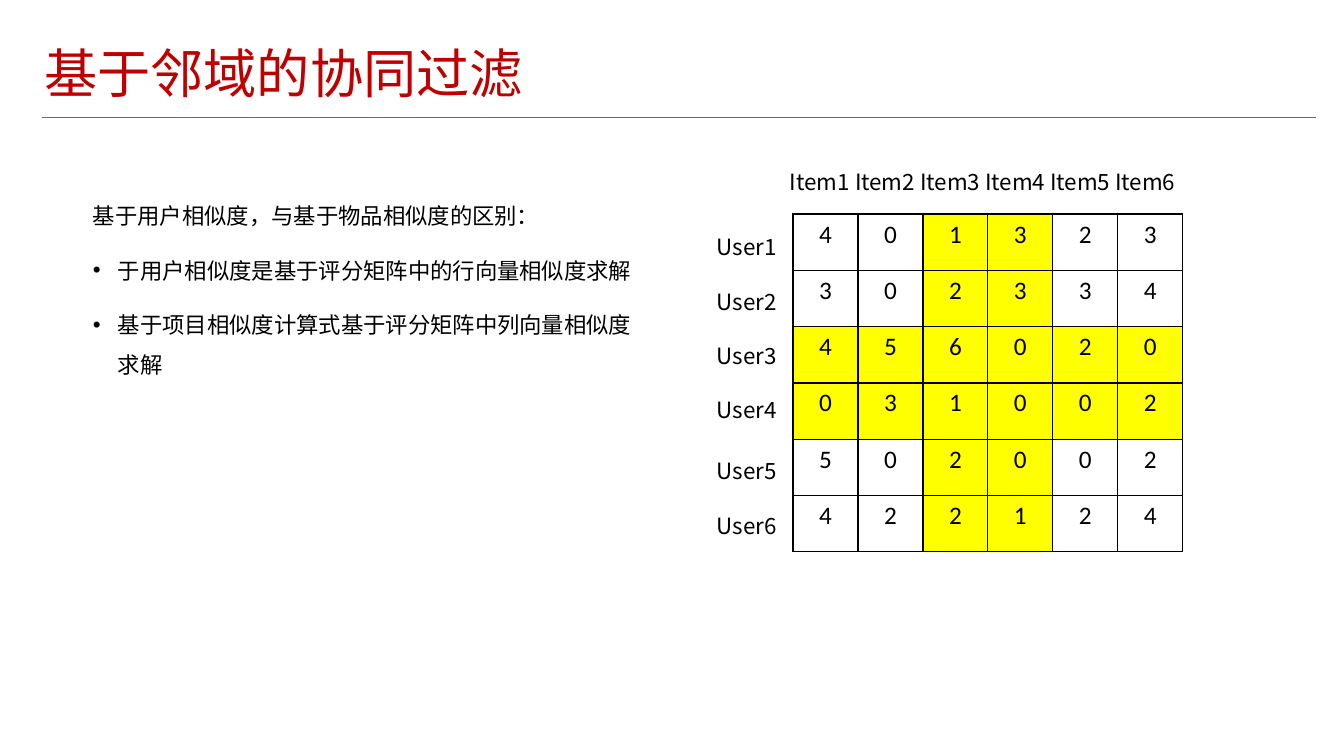
from dataclasses import dataclass

from lxml.etree import SubElement
from pptx import Presentation
from pptx.dml.color import RGBColor as RGB
from pptx.enum.shapes import MSO_CONNECTOR as Link
from pptx.enum.text import MSO_ANCHOR as Anchor, MSO_AUTO_SIZE as Fit, PP_ALIGN as Align
from pptx.oxml import parse_xml
from pptx.oxml.ns import nsdecls, qn
from pptx.util import Emu, Pt

SCALE = 914400 / 100.8


@dataclass(frozen=True)
class Theme:
    red: str = "C00000"
    blue: str = "3F6FC3"
    black: str = "000000"
    white: str = "FFFFFF"
    yellow: str = "FFFF00"
    latin: str = "Calibri"
    han: str = "Noto Sans CJK SC"
    title: int = 38
    body: int = 16
    cell: int = 18


@dataclass(frozen=True)
class Box:
    left: int
    top: int
    width: int
    height: int


@dataclass(frozen=True)
class Para:
    text: str
    font: str = Theme.han
    bullet: bool = False
    after: int = 0


THEME = Theme()
RATINGS = ["401323", "302334", "456020", "031002", "502002", "422124"]
MARKED = (2, 3)
INTRO = [
    Para("基于用户相似度，与基于物品相似度的区别："),
    Para("于用户相似度是基于评分矩阵中的行向量相似度求解", THEME.latin, bullet=True),
    Para("基于项目相似度计算式基于评分矩阵中列向量相似度求解", THEME.latin, bullet=True),
]
ITEMS = [Para(" ".join(f"Item{n}" for n in range(1, 7)))]
USERS = [Para(f"User{n}", after=5 if n == 4 else 0) for n in range(1, 7)]


def px(length: int) -> Emu:
    return Emu(round(length * SCALE))


def place(shape, box: Box) -> None:
    shape.left, shape.top = px(box.left), px(box.top)
    shape.width, shape.height = px(box.width), px(box.height)


def write(para, text: str, *, size: int, font: str = THEME.latin,
          color: str = THEME.black, align=Align.LEFT, lines: float = 1.0,
          before: int = 0, after: int = 0) -> None:
    para.alignment, para.line_spacing = align, lines
    para.space_before, para.space_after = Pt(before), Pt(after)
    run = para.add_run()
    run.text = text
    run.font.size, run.font.name = Pt(size), font
    run.font.color.rgb = RGB.from_string(color)


def set_mark(para, bullet: bool) -> None:
    """Give a paragraph a hanging bullet, or clear the inherited one."""
    props = para._p.get_or_add_pPr()
    hang = px(25) if bullet else 0
    props.set("marL", str(hang))
    props.set("indent", str(-hang))
    if bullet:
        SubElement(props, qn("a:buFont"), typeface="Arial")
        SubElement(props, qn("a:buChar"), char="•")
    else:
        SubElement(props, qn("a:buNone"))


def set_frame(frame, anchor=Anchor.TOP) -> None:
    frame.word_wrap, frame.auto_size = True, Fit.NONE
    frame.vertical_anchor = anchor
    frame.margin_left = frame.margin_right = px(5)
    frame.margin_top = frame.margin_bottom = px(5)


def fill_text(shape, box: Box, paras: list[Para]) -> None:
    place(shape, box)
    frame = shape.text_frame
    set_frame(frame)
    for i, item in enumerate(paras):
        para = frame.add_paragraph() if i else frame.paragraphs[0]
        set_mark(para, item.bullet)
        write(para, item.text, size=THEME.body, font=item.font, lines=1.5,
              align=Align.LEFT if item.bullet else Align.JUSTIFY,
              before=10 if i else 0, after=item.after)


def add_title(slide, text: str) -> None:
    title = slide.shapes.title
    place(title, Box(39, 40, 1122, 72))
    set_frame(title.text_frame, Anchor.MIDDLE)
    write(title.text_frame.paragraphs[0], text, size=THEME.title,
          color=THEME.red, lines=0.9)


def add_rule(slide) -> None:
    rule = slide.shapes.add_connector(
        Link.STRAIGHT, px(42), px(118), px(1316), px(118))
    rule.line.color.rgb = RGB.from_string(THEME.blue)
    rule.line.width = Pt(0.75)
    SubElement(rule._element.spPr, qn("a:effectLst"))


def add_border(cell) -> None:
    props = cell._tc.get_or_add_tcPr()
    for i, side in enumerate("LRTB"):
        props.insert(i, parse_xml(
            f'<a:ln{side} {nsdecls("a")} w="{Pt(1)}"><a:solidFill>'
            f'<a:srgbClr val="{THEME.black}"/></a:solidFill></a:ln{side}>'))


def add_grid(slide, box: Box) -> None:
    size = len(RATINGS)
    table = slide.shapes.add_table(
        size, size, px(box.left), px(box.top), px(box.width), px(box.height)).table
    table.first_row = table.horz_banding = False
    for r, row in enumerate(RATINGS):
        for c, score in enumerate(row):
            cell = table.cell(r, c)
            marked = r in MARKED or c in MARKED
            cell.fill.solid()
            cell.fill.fore_color.rgb = RGB.from_string(
                THEME.yellow if marked else THEME.white)
            add_border(cell)
            write(cell.text_frame.paragraphs[0], score, size=THEME.cell,
                  align=Align.CENTER)


def main() -> None:
    deck = Presentation()
    deck.slide_width, deck.slide_height = px(1344), px(756)
    slide = deck.slides.add_slide(deck.slide_layouts[1])
    add_rule(slide)
    add_title(slide, "基于邻域的协同过滤")
    fill_text(slide.placeholders[1], Box(88, 184, 565, 464), INTRO)
    add_grid(slide, Box(793, 214, 390, 338))
    for box, paras in ((Box(785, 150, 444, 50), ITEMS),
                       (Box(712, 215, 74, 333), USERS)):
        fill_text(slide.shapes.add_textbox(0, 0, 0, 0), box, paras)
    deck.save("out.pptx")


if __name__ == "__main__":
    main()
